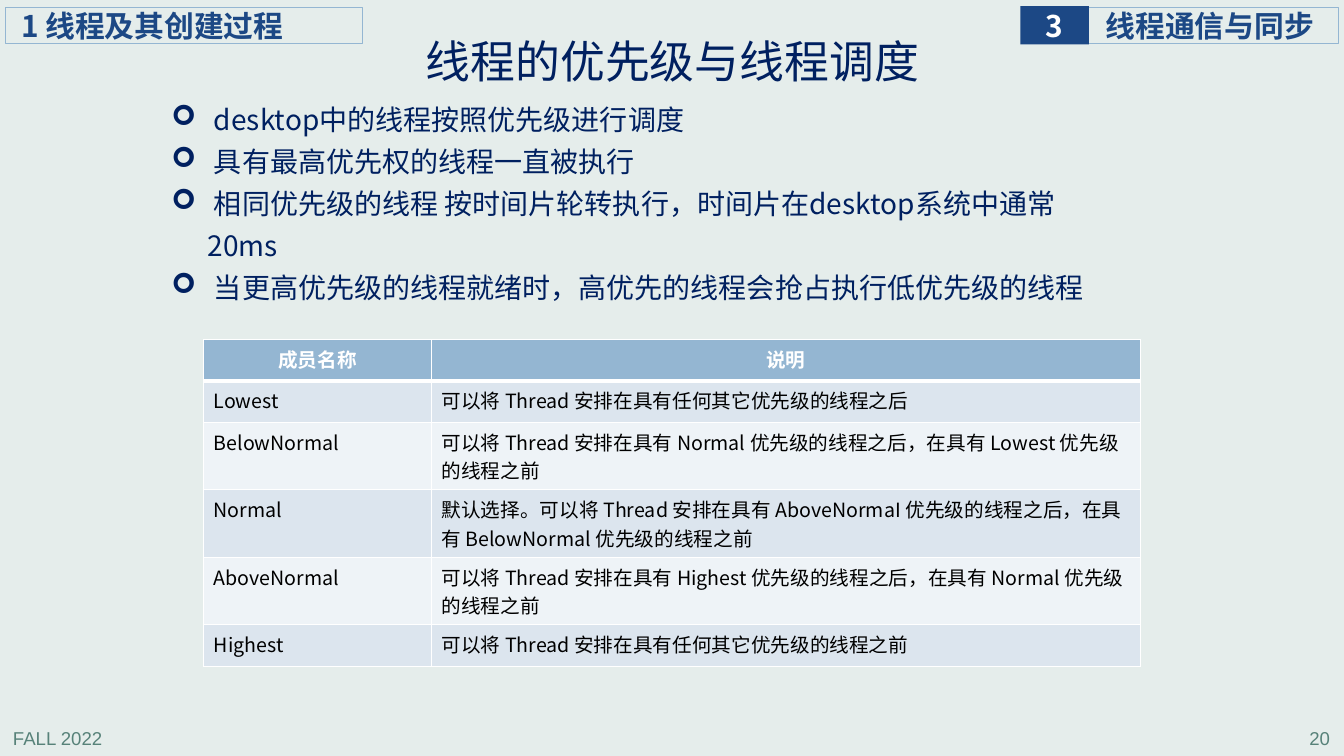
from lxml import etree
from pptx import Presentation
from pptx.dml.color import RGBColor
from pptx.enum.shapes import MSO_SHAPE as SHAPE
from pptx.enum.text import MSO_ANCHOR as ANCHOR, PP_ALIGN as ALIGN
from pptx.oxml.ns import qn
from pptx.util import Inches, Pt

NAVY = RGBColor(0x00, 0x20, 0x60)
BLUE = RGBColor(0x1C, 0x48, 0x85)
SKY = RGBColor(0x94, 0xB6, 0xD2)
GREEN = RGBColor(0x57, 0x82, 0x79)
WHITE = RGBColor(0xFF, 0xFF, 0xFF)
BLACK = RGBColor(0x00, 0x00, 0x00)
PAPER = RGBColor(0xE5, 0xED, 0xEB)
ROW_DARK = RGBColor(0xDC, 0xE5, 0xEE)
ROW_LIGHT = RGBColor(0xEE, 0xF3, 0xF7)
CJK = "Noto Sans CJK SC"


def write(paragraph, text, size, color, bold=False, align=ALIGN.LEFT, face=CJK):
    run = paragraph.add_run()
    run.text = text
    paragraph.alignment = align
    for key, value in {"name": face, "size": Pt(size), "bold": bold}.items():
        setattr(run.font, key, value)
    run.font.color.rgb = color
    east_asian = etree.SubElement(run.font._element, qn("a:ea"))
    east_asian.set("typeface", face)


def set_frame(frame, anchor, left, top, right, bottom, wrap=True):
    formats = {
        "margin_left": Inches(left), "margin_top": Inches(top),
        "margin_right": Inches(right), "margin_bottom": Inches(bottom),
        "vertical_anchor": anchor, "word_wrap": wrap,
    }
    for key, value in formats.items():
        setattr(frame, key, value)


deck = Presentation()
deck.slide_width, deck.slide_height = Inches(13.33), Inches(7.5)
slide = deck.slides.add_slide(deck.slide_layouts[6])
slide.background.fill.solid()
slide.background.fill.fore_color.rgb = PAPER

# Footer and page number
for left, text, align in [(0.03, "FALL 2022", ALIGN.LEFT), (10.51, "20", ALIGN.RIGHT)]:
    footer = slide.shapes.add_textbox(Inches(left), Inches(7.16), Inches(2.78), Inches(0.31))
    set_frame(footer.text_frame, ANCHOR.TOP, 0.1, 0.05, 0.1, 0.05)
    write(footer.text_frame.paragraphs[0], text, 13.3, GREEN, align=align, face="Arial")

# Chapter labels in the top corners
labels = [
    (10.78, 0.07, 2.5, 0.36, " 线程通信与同步", 0.12, False),
    (10.12, 0.06, 0.68, 0.38, "3", 0, True),
    (0.05, 0.07, 3.55, 0.36, "1 线程及其创建过程", 0.16, False),
]
for left, top, width, height, text, inset, is_number in labels:
    label = slide.shapes.add_shape(
        SHAPE.RECTANGLE, Inches(left), Inches(top), Inches(width), Inches(height))
    label.shadow.inherit = False
    if is_number:
        label.fill.solid()
        label.fill.fore_color.rgb = BLUE
        label.line.fill.background()
    else:
        label.fill.background()
        label.line.color.rgb = SKY
        label.line.width = Pt(0.75)
    set_frame(label.text_frame, ANCHOR.MIDDLE, inset, 0, 0, 0, wrap=not is_number)
    write(label.text_frame.paragraphs[0], text, 21.3, WHITE if is_number else BLUE,
          bold=True, align=ALIGN.CENTER if is_number else ALIGN.LEFT)

# Title
title = slide.shapes.add_textbox(Inches(3.14), Inches(0.2), Inches(7.06), Inches(0.87))
set_frame(title.text_frame, ANCHOR.MIDDLE, 0.08, 0.04, 0.08, 0.04)
heading = title.text_frame.paragraphs[0]
heading.line_spacing = 0.9
write(heading, "线程的优先级与线程调度", 32, NAVY, align=ALIGN.CENTER)

# Scheduling rules
rules = [
    " desktop中的线程按照优先级进行调度",
    " 具有最高优先权的线程一直被执行",
    " 相同优先级的线程 按时间片轮转执行，时间片在desktop系统中通常20ms",
    " 当更高优先级的线程就绪时，高优先的线程会抢占执行低优先级的线程",
]
body = slide.shapes.add_textbox(Inches(1.51), Inches(0.89), Inches(9.69), Inches(3.02))
set_frame(body.text_frame, ANCHOR.TOP, 0.08, 0.04, 0.08, 0.04)
for index, text in enumerate(rules):
    rule = body.text_frame.paragraphs[0] if index == 0 else body.text_frame.add_paragraph()
    rule.line_spacing = 1.25
    properties = rule._p.get_or_add_pPr()
    properties.set("marL", str(Inches(0.47)))
    properties.set("indent", str(-Inches(0.36)))
    etree.SubElement(properties, qn("a:buFont")).set("typeface", "Wingdings")
    etree.SubElement(properties, qn("a:buChar")).set("char", "➢")
    write(rule, text, 20, NAVY)

# Table of thread priorities
priorities = [
    (0.41, "成员名称", "说明"),
    (0.41, "Lowest", "可以将 Thread 安排在具有任何其它优先级的线程之后"),
    (0.67, "BelowNormal",
     "可以将 Thread 安排在具有 Normal 优先级的线程之后，在具有 Lowest 优先级的线程之前"),
    (0.67, "Normal", "默认选择。可以将 Thread 安排在具有 AboveNormaI 优先级的线程之后，"
                     "在具有 BelowNormal 优先级的线程之前"),
    (0.67, "AboveNormal",
     "可以将 Thread 安排在具有 Highest 优先级的线程之后，在具有 Normal 优先级的线程之前"),
    (0.41, "Highest", "可以将 Thread 安排在具有任何其它优先级的线程之前"),
]
table = slide.shapes.add_table(
    len(priorities), 2, Inches(2.02), Inches(3.37), Inches(9.3), Inches(3.24)).table
for column, width in zip(table.columns, (2.26, 7.03)):
    column.width = Inches(width)
for row, (height, *texts) in enumerate(priorities):
    is_header = row == 0
    table.rows[row].height = Inches(height)
    for col, text in enumerate(texts):
        cell = table.cell(row, col)
        write(cell.text_frame.paragraphs[0], text, 14, WHITE if is_header else BLACK,
              bold=is_header, align=ALIGN.CENTER if is_header else ALIGN.LEFT)
        # Borders come before the fill in the cell properties
        cell_properties = cell._tc.get_or_add_tcPr()
        for side in ("lnL", "lnR", "lnT", "lnB"):
            thick = (row == 0 and side == "lnB") or (row == 1 and side == "lnT")
            border = etree.SubElement(cell_properties, qn(f"a:{side}"))
            border.set("w", str(Pt(3 if thick else 1)))
            border_fill = etree.SubElement(border, qn("a:solidFill"))
            etree.SubElement(border_fill, qn("a:srgbClr")).set("val", str(WHITE))
        cell.fill.solid()
        cell.fill.fore_color.rgb = SKY if is_header else ROW_DARK if row % 2 else ROW_LIGHT

deck.save("out.pptx")
